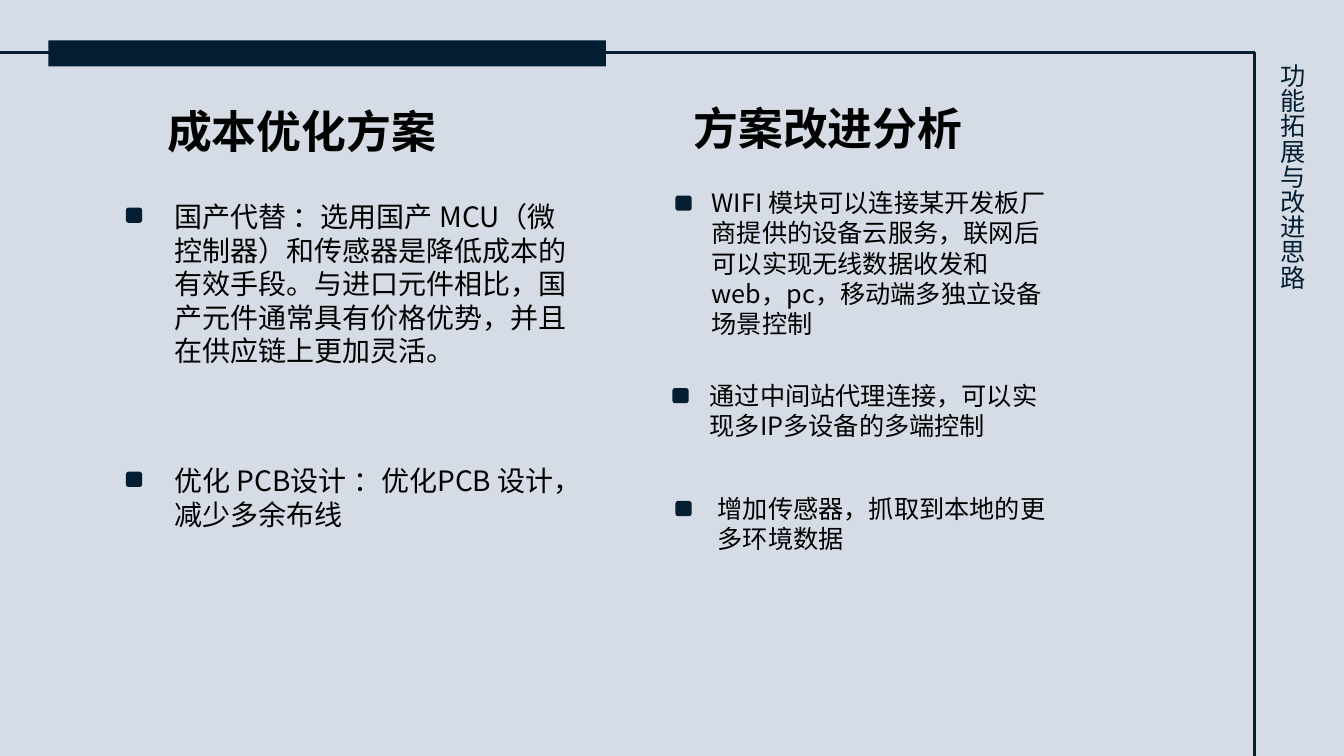
import pptx
import pptx.dml.color
import pptx.enum.shapes
import pptx.enum.text
import pptx.oxml.ns
import pptx.util
from lxml import etree

Inches = pptx.util.Inches
SHAPES = pptx.enum.shapes.MSO_SHAPE
NAVY, BLACK, BACKGROUND = "031D32", "000000", "D6DCE5"
CJK_FONT = "Noto Sans CJK SC"
MARKER_DROP = 0.13

# Each point: marker offset, text offset, top offset, text width, text height, text
COST_POINTS = [
    (0, 0.38, 0.95, 4.18, 1.78,
     "国产代替 ：选用国产 MCU（微控制器）和传感器是降低成本的有效手段。"
     "与进口元件相比，国产元件通常具有价格优势，并且在供应链上更加灵活。"),
    (0, 0.38, 3.57, 4.18, 0.77, "优化 PCB设计 ：优化PCB 设计，减少多余布线"),
]
IMPROVEMENT_POINTS = [
    (0.03, 0.29, 0.86, 3.68, 1.62,
     "WIFI 模块可以连接某开发板厂商提供的设备云服务，联网后可以实现无线数据收发和"
     "web，pc，移动端多独立设备场景控制"),
    (0, 0.27, 2.77, 3.64, 0.71, "通过中间站代理连接，可以实现多IP多设备的多端控制"),
    (0.03, 0.35, 3.89, 3.58, 0.71, "增加传感器，抓取到本地的更多环境数据"),
]


def color(hex_value):
    return pptx.dml.color.RGBColor.from_string(hex_value)


def add_text(slide, left, top, width, height, text, size,
             hex_value=BLACK, bold=False, font_name=CJK_FONT):
    box = slide.shapes.add_textbox(Inches(left), Inches(top), Inches(width), Inches(height))
    frame = box.text_frame
    frame.word_wrap = True
    frame.auto_size = pptx.enum.text.MSO_AUTO_SIZE.SHAPE_TO_FIT_TEXT
    run = frame.paragraphs[0].add_run()
    run.text = text
    run.font.size = pptx.util.Pt(size)
    run.font.bold = bold
    run.font.color.rgb = color(hex_value)
    run.font.name = font_name
    east_asian = etree.SubElement(run._r.get_or_add_rPr(), pptx.oxml.ns.qn("a:ea"))
    east_asian.set("typeface", CJK_FONT)
    return box


def add_block(slide, kind, left, top, width, height, fill=None, line=None):
    shape = slide.shapes.add_shape(kind, Inches(left), Inches(top), Inches(width), Inches(height))
    shape.shadow.inherit = False
    if fill:
        shape.fill.solid()
        shape.fill.fore_color.rgb = color(fill)
    else:
        shape.fill.background()
    if line:
        shape.line.color.rgb = color(line)
        shape.line.width = pptx.util.Pt(2.25)
    else:
        shape.line.fill.background()


def add_frame(slide, left, top, width, height):
    """Draw the outline that runs off the slide edges, with its thick top bar."""
    add_block(slide, SHAPES.RECTANGLE, left, top, width, height, line=NAVY)
    add_block(slide, SHAPES.RECTANGLE, left + 0.78, top - 0.12, 5.53, 0.26, fill=NAVY)


def add_side_title(slide, left, top, width, height):
    box = add_text(slide, left, top, width, height, "功能拓展与改进思路", 18,
                   NAVY, font_name="Arial Narrow")
    box.element.txBody.bodyPr.set("vert", "eaVert")


def add_column(slide, left, top, heading, heading_offset, points, size):
    add_text(slide, left + heading_offset, top, 3.74, 0.64, heading, 32, bold=True)
    for marker_offset, text_offset, drop, width, height, text in points:
        add_block(slide, SHAPES.ROUNDED_RECTANGLE, left + marker_offset,
                  top + drop + MARKER_DROP, 0.16, 0.15, fill=NAVY)
        add_text(slide, left + text_offset, top + drop, width, height, text, size)


def main():
    presentation = pptx.Presentation()
    presentation.slide_width = Inches(13.33)
    presentation.slide_height = Inches(7.5)
    slide = presentation.slides.add_slide(presentation.slide_layouts[6])
    slide.background.fill.solid()
    slide.background.fill.fore_color.rgb = color(BACKGROUND)
    add_frame(slide, -0.3, 0.52, 12.74, 7.3)
    add_side_title(slide, 12.52, 0.53, 0.5, 2.58)
    add_column(slide, 1.25, 0.98, "成本优化方案", 0.31, COST_POINTS, 20)
    add_column(slide, 6.67, 0.95, "方案改进分析", 0.11, IMPROVEMENT_POINTS, 18)
    presentation.save("out.pptx")


if __name__ == "__main__":
    main()
